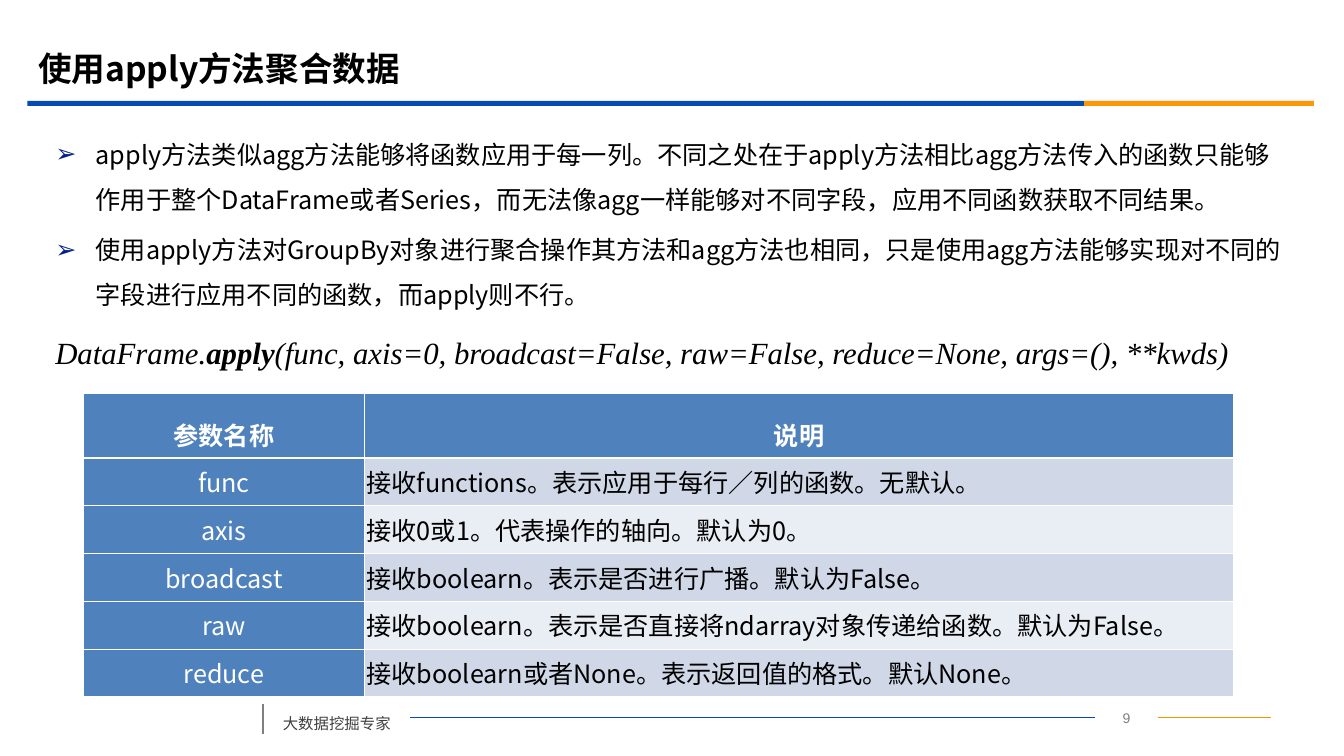
import pptx
import pptx.util
import pptx.dml.color
import pptx.enum.shapes
import pptx.enum.text
import pptx.oxml
import pptx.oxml.ns
import lxml.etree

Cm = pptx.util.Cm
Pt = pptx.util.Pt
ALIGN = pptx.enum.text.PP_ALIGN
MIDDLE = pptx.enum.text.MSO_ANCHOR.MIDDLE
SANS = "Noto Sans CJK SC"
SERIF = "Times New Roman"
BLUE, GREY, HEADER_BLUE = "064BB2", "7F7F7F", "4F81BD"
BANDS = ("D0D8E8", "E9EDF4")

BULLETS = (
    "apply方法类似agg方法能够将函数应用于每一列。不同之处在于apply方法相比agg方法传入的函数只能够作用于整个DataFrame或者Series，而无法像agg一样能够对不同字段，应用不同函数获取不同结果。",
    "使用apply方法对GroupBy对象进行聚合操作其方法和agg方法也相同，只是使用agg方法能够实现对不同的字段进行应用不同的函数，而apply则不行。",
)
SIGNATURE = (
    ("DataFrame.", False),
    ("apply", True),
    ("(func, axis=0, broadcast=False, raw=False, reduce=None, args=(), **kwds)", False),
)
PARAMETERS = (
    ("参数名称", "说明"),
    ("func", "接收functions。表示应用于每行／列的函数。无默认。"),
    ("axis", "接收0或1。代表操作的轴向。默认为0。"),
    ("broadcast", "接收boolearn。表示是否进行广播。默认为False。"),
    ("raw", "接收boolearn。表示是否直接将ndarray对象传递给函数。默认为False。"),
    ("reduce", "接收boolearn或者None。表示返回值的格式。默认None。"),
)


def color(hex_value):
    return pptx.dml.color.RGBColor.from_string(hex_value)


def add_element(parent, tag, **attributes):
    element = lxml.etree.SubElement(parent, pptx.oxml.ns.qn(tag))
    for key, value in attributes.items():
        element.set(key, value)
    return element


def write(paragraph, text, size=18, font=SANS, fill="000000", bold=False,
          italic=False, align=ALIGN.LEFT, spacing=None, before=0):
    paragraph.alignment = align
    paragraph.space_before = Pt(before)
    if spacing:
        paragraph.line_spacing = spacing
    run = paragraph.add_run()
    run.text = text
    run.font.size = Pt(size)
    run.font.bold = bold
    run.font.italic = italic
    run.font.color.rgb = color(fill)
    run.font.name = font
    add_element(run._r.get_or_add_rPr(), "a:ea", typeface=font)


def place(shape, box):
    shape.left, shape.top, shape.width, shape.height = map(Cm, box)


def add_bar(slide, box, fill):
    bar = slide.shapes.add_shape(pptx.enum.shapes.MSO_SHAPE.RECTANGLE, *map(Cm, box))
    bar.shadow.inherit = False
    bar.fill.solid()
    bar.fill.fore_color.rgb = color(fill)
    bar.line.fill.background()


def add_rule(slide, start, end, fill, width=0.75):
    rule = slide.shapes.add_connector(
        pptx.enum.shapes.MSO_CONNECTOR.STRAIGHT, *map(Cm, start + end))
    rule.line.color.rgb = color(fill)
    rule.line.width = Pt(width)
    add_element(rule._element.spPr, "a:effectLst")


def add_label(slide, box, text, **style):
    label = slide.shapes.add_textbox(*map(Cm, box))
    label.text_frame.word_wrap = True
    write(label.text_frame.paragraphs[0], text, **style)


def build_heading(slide, box):
    left, top, width, height = box
    title = slide.shapes.title
    place(title, (left + 0.02, top, 30.48, 1.47))
    title.text_frame.vertical_anchor = MIDDLE
    title.text_frame.auto_size = pptx.enum.text.MSO_AUTO_SIZE.NONE
    write(title.text_frame.paragraphs[0], "使用apply方法聚合数据", size=24, bold=True)
    thickness, blue_width = 0.13, 26.64
    bar_top = top + height - thickness
    add_bar(slide, (left, bar_top, blue_width, thickness), BLUE)
    add_bar(slide, (left + blue_width, bar_top, width - blue_width, thickness), "FB9708")


def set_bullet(paragraph, bulleted):
    properties = paragraph._p.get_or_add_pPr()
    properties.set("marL", str(Cm(1.02)))
    properties.set("indent", str(Cm(-1.02)))
    if bulleted:
        add_element(add_element(properties, "a:buClr"), "a:srgbClr", val="032089")
        add_element(properties, "a:buChar", char="➢")
    else:
        add_element(properties, "a:buNone")


def build_explanation(slide, box):
    body = slide.placeholders[1]
    place(body, box)
    frame = body.text_frame
    frame.auto_size = pptx.enum.text.MSO_AUTO_SIZE.NONE
    for index, text in enumerate(BULLETS):
        paragraph = frame.add_paragraph() if index else frame.paragraphs[0]
        set_bullet(paragraph, True)
        write(paragraph, text, spacing=Pt(32.2), before=4 if index else 0)
    signature = frame.add_paragraph()
    set_bullet(signature, False)
    for text, bold in SIGNATURE:
        write(signature, text, size=22, font=SERIF, bold=bold, italic=True,
              spacing=1.5, before=4)


def set_borders(cell, row):
    widths = {"a:lnL": 0.45, "a:lnR": 0.45,
              "a:lnT": 1.47 if row == 1 else 0.45,
              "a:lnB": 1.47 if row == 0 else 0.45}
    properties = cell._tc.get_or_add_tcPr()
    for position, (tag, width) in enumerate(widths.items()):
        border = add_element(properties, tag, w=str(Pt(width)))
        add_element(add_element(border, "a:solidFill"), "a:srgbClr", val="FFFFFF")
        properties.insert(position, border)


def build_parameters(slide, box):
    left, top, width, height = box
    rows = len(PARAMETERS)
    header_height, name_width = 1.63, 7.09
    row_height = (height - header_height) / (rows - 1)
    table = slide.shapes.add_table(rows, 2, *map(Cm, box)).table
    table.columns[0].width = Cm(name_width)
    table.columns[1].width = Cm(width - name_width)
    for row, texts in enumerate(PARAMETERS):
        is_header = row == 0
        table.rows[row].height = Cm(header_height if is_header else row_height)
        for column, text in enumerate(texts):
            is_blue = is_header or column == 0
            cell = table.cell(row, column)
            cell.fill.solid()
            cell.fill.fore_color.rgb = color(HEADER_BLUE if is_blue else BANDS[(row - 1) % 2])
            cell.vertical_anchor = MIDDLE
            cell.margin_left = cell.margin_right = Cm(0.05)
            set_borders(cell, row)
            write(cell.text_frame.paragraphs[0], text, bold=is_header,
                  fill="FFFFFF" if is_blue else "000000",
                  align=ALIGN.CENTER if is_blue else ALIGN.JUSTIFY,
                  spacing=1.5 if is_header else None)


def build_footer(slide, box):
    left, top, width, height = box
    rule_y = top + 0.46
    add_rule(slide, (left, top + 0.1), (left, top + 0.87), GREY, 1.25)
    add_label(slide, (left + 0.25, top, 3.45, height), "大数据挖掘专家", size=11,
              fill="404040", spacing=Pt(20))
    add_rule(slide, (left + 3.71, rule_y), (left + 20.98, rule_y), BLUE)
    add_label(slide, (left + 20.98, top + 0.13, 1.57, 0.64), "9", size=10,
              font="Arial", fill=GREY, align=ALIGN.CENTER)
    add_rule(slide, (left + 22.55, rule_y), (left + width, rule_y), "F19500")


def main():
    deck = pptx.Presentation()
    deck.slide_width, deck.slide_height = Cm(33.88), Cm(19.05)
    slide = deck.slides.add_slide(deck.slide_layouts[1])
    build_heading(slide, (0.69, 0.99, 32.43, 1.68))
    build_explanation(slide, (1.14, 3, 31.7, 12.1))
    build_parameters(slide, (2.1, 9.9, 29, 7.65))
    build_footer(slide, (6.63, 17.63, 25.4, 0.97))
    deck.save("out.pptx")


if __name__ == "__main__":
    main()
